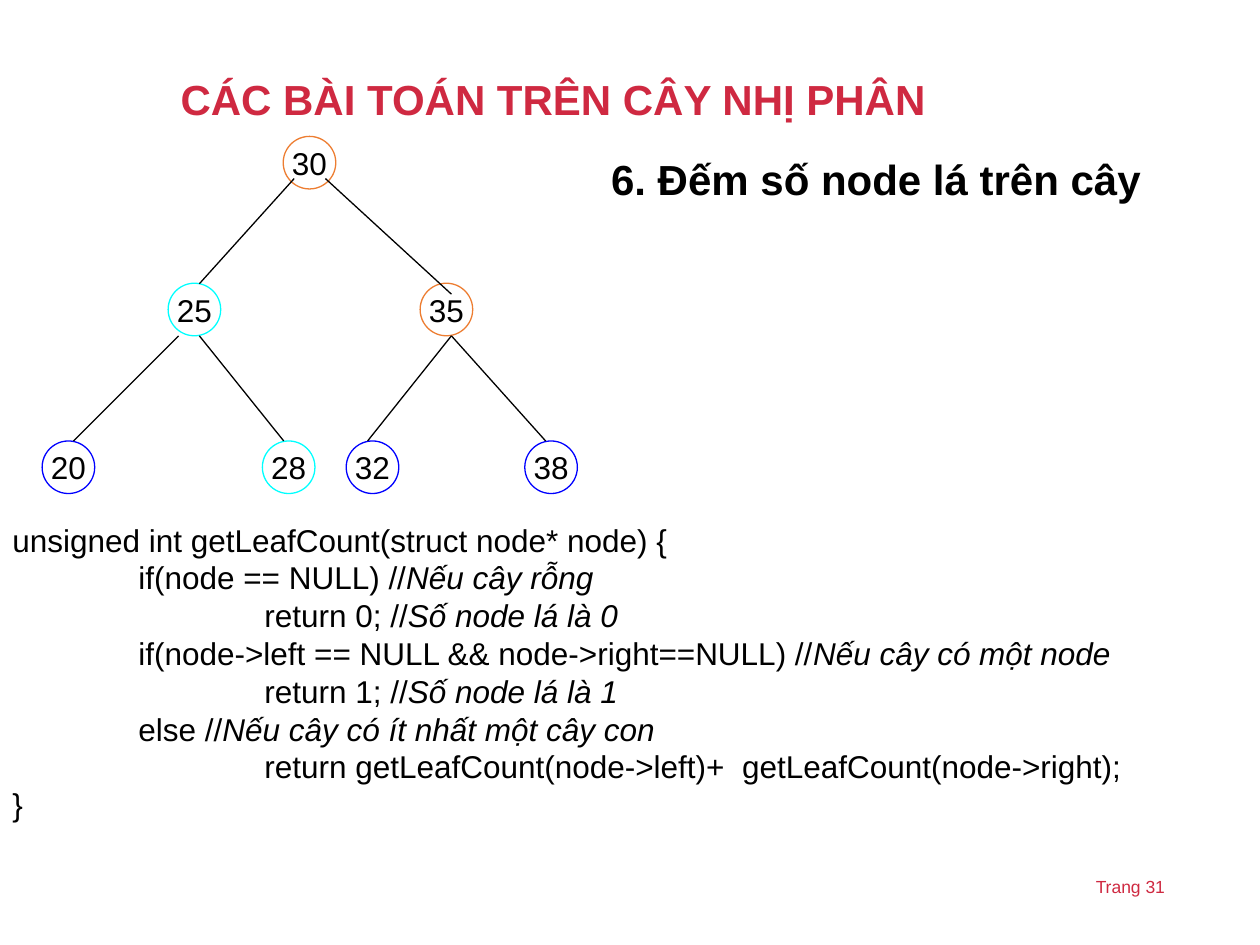
"""Build a slide on counting the leaf nodes of a binary tree."""
from dataclasses import dataclass

from lxml import etree
from pptx import Presentation
from pptx import util as u
from pptx.dml.color import RGBColor
from pptx.enum import shapes, text
from pptx.oxml.ns import qn


@dataclass(frozen=True)
class Theme:
    font: str = "Arial"
    ink: str = "000000"
    accent: str = "CF2941"
    orange: str = "ED7D31"
    cyan: str = "00FFFF"
    blue: str = "0000FF"
    heading: int = 24
    body: int = 18
    footer: int = 10
    line: float = 0.75
    node: float = 1.06
    tab: float = 2.54


def apply(target, values):
    for name, value in values.items():
        setattr(target, name, value)


class SlideBuilder:
    def __init__(self, slide, theme):
        self.slide = slide
        self.theme = theme

    def add_text(self, paragraph, content, size, color, **style):
        run = paragraph.add_run()
        run.text = content
        run.font.color.rgb = RGBColor.from_string(color)
        apply(run.font, {"name": self.theme.font, "size": u.Pt(size), **style})

    def text_box(self, box, anchor=text.MSO_ANCHOR.TOP):
        frame = self.slide.shapes.add_textbox(*map(u.Cm, box)).text_frame
        apply(frame, {"word_wrap": True, "vertical_anchor": anchor})
        return frame

    def label(self, content, box, size, color, bold=False,
              anchor=text.MSO_ANCHOR.TOP, **layout):
        paragraph = self.text_box(box, anchor).paragraphs[0]
        apply(paragraph, layout)
        self.add_text(paragraph, content, size, color, bold=bold)

    def node(self, value, x, y, color):
        size = self.theme.node
        box = (x - size / 2, y - size / 2, size, size)
        shape = self.slide.shapes.add_shape(shapes.MSO_SHAPE.OVAL, *map(u.Cm, box))
        shape.shadow.inherit = False
        shape.fill.background()
        shape.line.color.rgb = RGBColor.from_string(color)
        shape.line.width = u.Pt(self.theme.line)
        apply(shape.text_frame, {"word_wrap": False, "vertical_anchor": text.MSO_ANCHOR.MIDDLE})
        paragraph = shape.text_frame.paragraphs[0]
        paragraph.alignment = text.PP_ALIGN.CENTER
        self.add_text(paragraph, str(value), self.theme.body, self.theme.ink)

    def edge(self, *ends):
        line = self.slide.shapes.add_connector(shapes.MSO_CONNECTOR.STRAIGHT, *map(u.Cm, ends))
        line.line.color.rgb = RGBColor.from_string(self.theme.ink)
        line.line.width = u.Pt(self.theme.line)
        etree.SubElement(line._element.spPr, qn("a:effectLst"))

    def code(self, lines, box):
        frame = self.text_box(box)
        for index, (depth, statement, comment) in enumerate(lines):
            paragraph = frame.add_paragraph() if index else frame.paragraphs[0]
            tabs = etree.SubElement(paragraph._p.get_or_add_pPr(), qn("a:tabLst"))
            for stop in range(1, depth + 1):
                etree.SubElement(tabs, qn("a:tab"), pos=str(u.Cm(stop * self.theme.tab)), algn="l")
            self.add_text(paragraph, "\t" * depth + statement, self.theme.body, self.theme.ink)
            if comment:
                self.add_text(paragraph, comment, self.theme.body, self.theme.ink, italic=True)


def main():
    theme = Theme()
    presentation = Presentation()
    apply(presentation, {"slide_width": u.Cm(25.4), "slide_height": u.Cm(19.05)})
    builder = SlideBuilder(presentation.slides.add_slide(presentation.slide_layouts[6]), theme)

    builder.label("Trang 31", (21.84, 17.53, 3.07, 0.69), theme.footer, theme.accent)
    builder.label("6. Đếm số node lá trên cây", (12.07, 2.97, 12.5, 1.27), theme.heading,
                  theme.ink, bold=True, alignment=text.PP_ALIGN.JUSTIFY)

    root, middle, leaf = 3.28, 6.24, 9.42
    for node in (
        (30, 6.24, root, theme.orange),
        (25, 3.92, middle, theme.cyan),
        (35, 9, middle, theme.orange),
        (20, 1.38, leaf, theme.blue),
        (28, 5.82, leaf, theme.cyan),
        (32, 7.51, leaf, theme.blue),
        (38, 11.11, leaf, theme.blue),
    ):
        builder.node(*node)

    builder.edge(5.93, 3.6, 4.02, 5.72)
    builder.edge(6.56, 3.6, 9.1, 5.93)
    for start, end in ((3.6, 1.48), (4.02, 5.72), (9.1, 7.41), (9.1, 11)):
        builder.edge(start, middle + theme.node / 2, end, leaf - theme.node / 2)

    builder.code((
        (0, "unsigned int getLeafCount(struct node* node) {", ""),
        (1, "if(node == NULL) //", "Nếu cây rỗng"),
        (2, "return 0; //", "Số node lá là 0"),
        (1, "if(node->left == NULL && node->right==NULL) //", "Nếu cây có một node"),
        (2, "return 1; //", "Số node lá là 1"),
        (1, "else //", "Nếu cây có ít nhất một cây con"),
        (2, "return getLeafCount(node->left)+  getLeafCount(node->right);", ""),
        (0, "}", ""),
    ), (0, 10.37, 24.55, 7.11))

    builder.label("CÁC BÀI TOÁN TRÊN CÂY NHỊ PHÂN", (3.39, 1.02, 20.27, 2.08), theme.heading,
                  theme.accent, bold=True, anchor=text.MSO_ANCHOR.MIDDLE, line_spacing=0.9)
    presentation.save("out.pptx")


if __name__ == "__main__":
    main()
